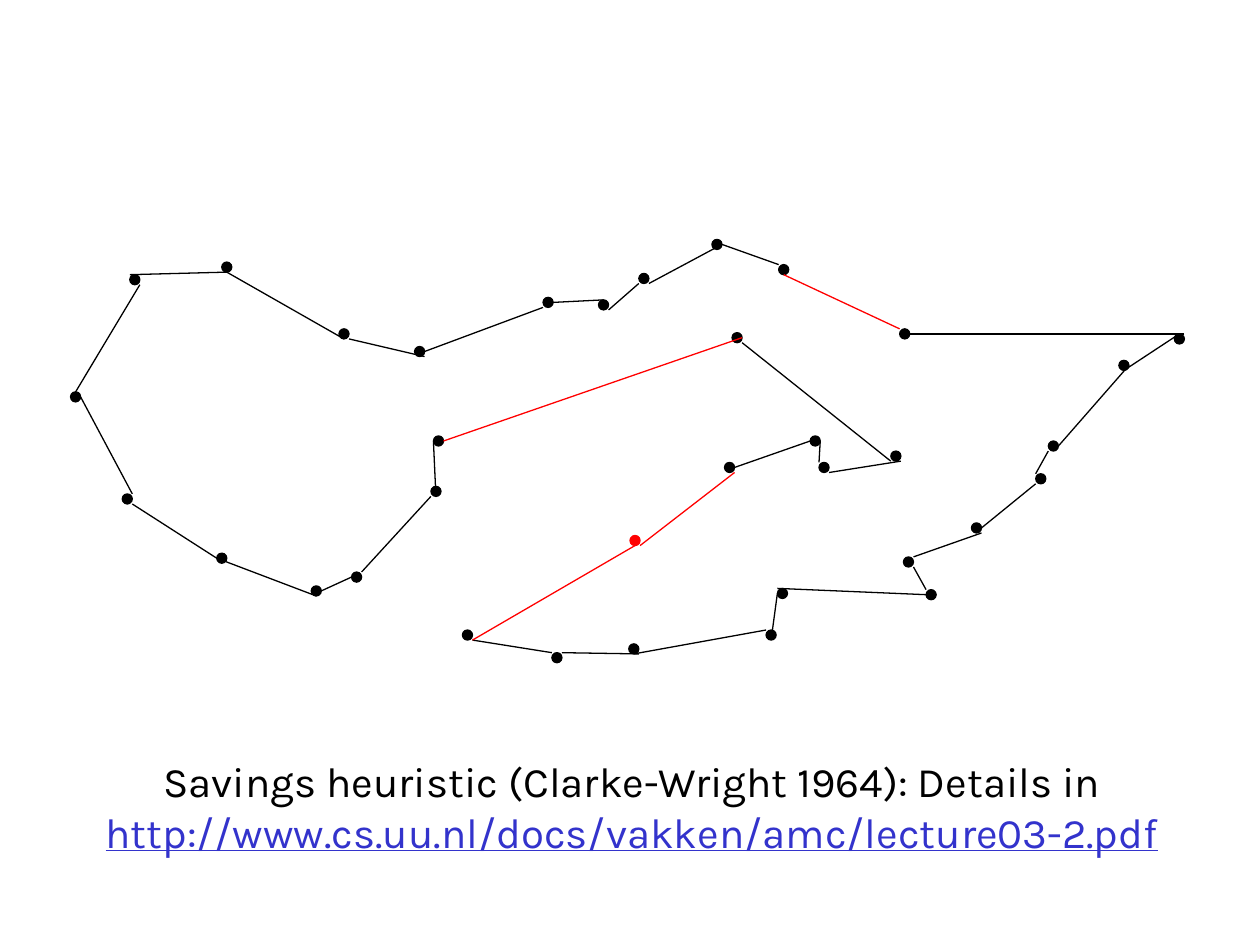
from collections import namedtuple
from itertools import chain
from lxml.etree import SubElement
from pptx import Presentation
from pptx.dml.color import RGBColor
from pptx.enum.shapes import MSO_CONNECTOR, MSO_SHAPE
from pptx.enum.text import MSO_AUTO_SIZE, PP_ALIGN
from pptx.oxml.ns import qn
from pptx.util import Emu, Pt

EMU_PER_PX = 9144
WIDTH, HEIGHT = 1000, 750
DOT_SIZE = 8
RADIUS = DOT_SIZE // 2
COLORS = {"black": "000000", "red": "FF0000", "link": "3333CC"}

COMPASS = {
    "NW": (-1, -1), "N": (0, -1), "NE": (1, -1),
    "W": (-1, 0), "E": (1, 0),
    "SW": (-1, 1), "S": (0, 1), "SE": (1, 1),
}

City = namedtuple("City", "left top arrive leave")

DEPOT = City(500, 425, "SE", "S")
EAST_CHAIN = [
    City(367, 500, "SE", "SE"),
    City(438, 518, "NW", "NE"),
    City(499, 511, "SE", "S"),
    City(608, 500, "NW", "S"),
    City(617, 467, "W", "NW"),
    City(735, 468, "W", "NW"),
    City(717, 442, "SE", "NE"),
    City(771, 415, "SE", "E"),
    City(822, 376, "SW", "NW"),
    City(832, 350, "SW", "E"),
    City(888, 286, "E", "S"),
    City(932, 265, "N", "NE"),
    City(714, 261, "E", "NW"),
]
WEST_CHAIN = [
    City(618, 210, "S", "NW"),
    City(565, 190, "E", "E"),
    City(507, 217, "SE", "SW"),
    City(475, 238, "SE", "N"),
    City(431, 236, "E", "SW"),
    City(329, 275, "E", "SE"),
    City(269, 261, "SE", "S"),
    City(176, 208, "S", "S"),
    City(103, 218, "NW", "SE"),
    City(56, 311, "N", "E"),
    City(97, 392, "NE", "SE"),
    City(172, 439, "W", "W"),
    City(247, 465, "S", "E"),
    City(279, 454, "W", "NE"),
    City(342, 386, "SW", "S"),
    City(344, 346, "W", "E"),
]
MIDDLE_CHAIN = [
    City(581, 264, "E", "SE"),
    City(707, 358, "SW", "SE"),
    City(650, 367, "SE", "NW"),
    City(643, 346, "E", "W"),
    City(575, 367, "E", "SE"),
]
CHAINS = [[DEPOT], EAST_CHAIN, WEST_CHAIN, MIDDLE_CHAIN]

CAPTION = [
    ("Savings heuristic (Clarke-Wright 1964): Details in", "black", False),
    ("http://www.cs.uu.nl/docs/vakken/amc/lecture03-2.pdf", "link", True),
]


def px(length):
    return Emu(length * EMU_PER_PX)


def rgb(name):
    return RGBColor.from_string(COLORS[name])


def rim_point(city, direction):
    across, down = COMPASS[direction]
    return (px(city.left + RADIUS * (1 + across)),
            px(city.top + RADIUS * (1 + down)))


class Painter:
    font = "Karla"
    text_size = Pt(24)
    line_width = Pt(0.75)

    def __init__(self, page):
        self.page = page

    def stroke(self, line, color):
        line.color.rgb = rgb(color)
        line.width = self.line_width

    def dot(self, city, color):
        shape = self.page.shapes.add_shape(
            MSO_SHAPE.FLOWCHART_CONNECTOR,
            px(city.left), px(city.top), px(DOT_SIZE), px(DOT_SIZE))
        shape.shadow.inherit = False
        shape.fill.solid()
        shape.fill.fore_color.rgb = rgb(color)
        self.stroke(shape.line, color)

    def edge(self, origin, target, color):
        connector = self.page.shapes.add_connector(
            MSO_CONNECTOR.STRAIGHT,
            *rim_point(origin, origin.leave),
            *rim_point(target, target.arrive))
        self.stroke(connector.line, color)
        SubElement(connector._element.spPr, qn("a:effectLst"))

    def text(self, left, top, width, height, lines):
        box = self.page.shapes.add_textbox(
            px(left), px(top), px(width), px(height))
        frame = box.text_frame
        frame.text = "\n".join(words for words, _, _ in lines)
        frame.word_wrap = False
        frame.auto_size = MSO_AUTO_SIZE.SHAPE_TO_FIT_TEXT
        for para, (_, color, underlined) in zip(frame.paragraphs, lines):
            para.alignment = PP_ALIGN.CENTER
            for span in para.runs:
                span.font.name = self.font
                span.font.size = self.text_size
                span.font.color.rgb = rgb(color)
                if underlined:
                    span.font.underline = True


def draw_tour(painter):
    for city in chain.from_iterable(CHAINS):
        painter.dot(city, "red" if city is DEPOT else "black")
    for cities in CHAINS:
        for origin, target in zip(cities, cities[1:]):
            painter.edge(origin, target, "black")
    for cities, next_cities in zip(CHAINS, CHAINS[1:] + CHAINS[:1]):
        painter.edge(cities[-1], next_cities[0], "red")


def main():
    deck = Presentation()
    deck.slide_width, deck.slide_height = px(WIDTH), px(HEIGHT)
    painter = Painter(deck.slides.add_slide(deck.slide_layouts[6]))
    draw_tour(painter)
    painter.text(70, 595, 863, 90, CAPTION)
    deck.save("out.pptx")


if __name__ == "__main__":
    main()
